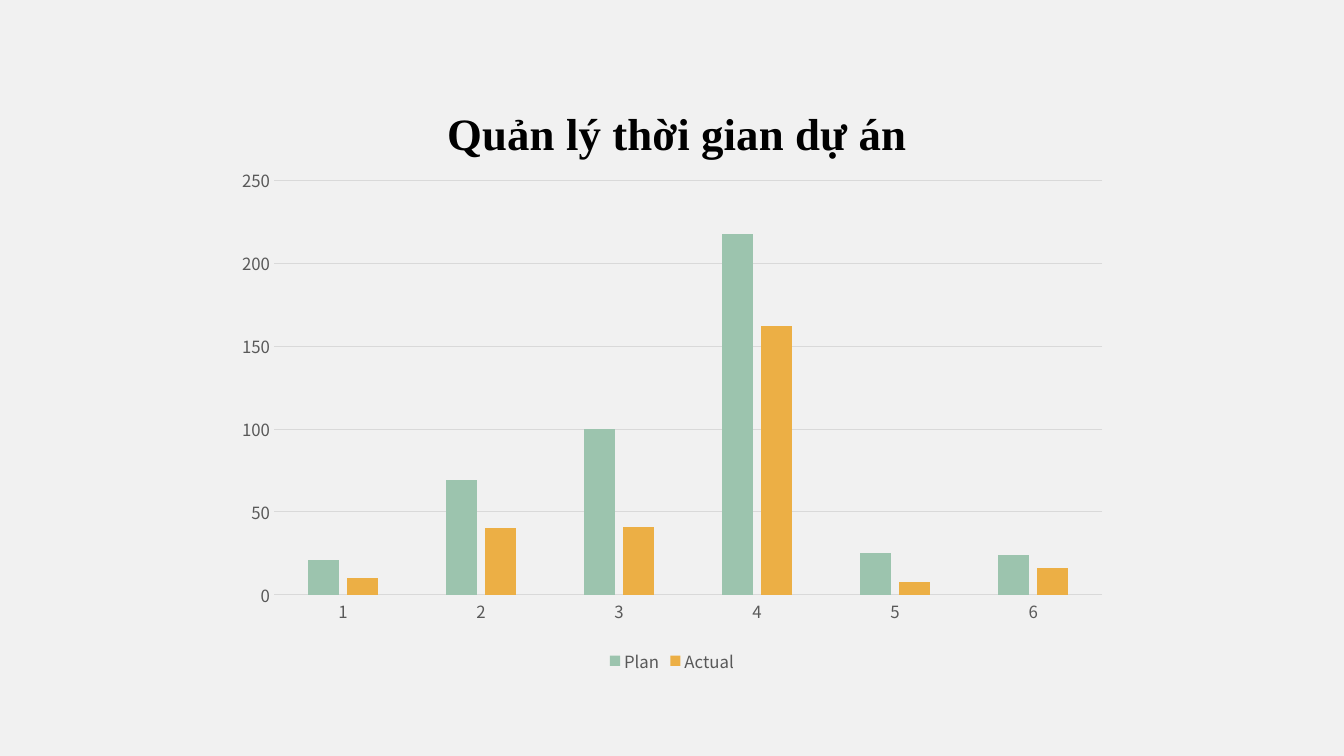
from lxml import etree
from pptx import Presentation
from pptx.chart.data import CategoryChartData
from pptx.dml.color import RGBColor
from pptx.enum.chart import XL_CHART_TYPE, XL_LEGEND_POSITION, XL_TICK_MARK
from pptx.oxml.ns import qn
from pptx.util import Inches, Pt

COLORS = {
    "background": "F1F1F1",
    "title": "000000",
    "label": "595959",
    "grid": "D9D9D9",
    "Plan": "9CC4AE",
    "Actual": "ECAF45",
}
HOURS = {
    "Plan": (21, 69, 100, 218, 25, 24),
    "Actual": (10, 40, 41, 162, 8, 16),
}
LABEL_FONT = "Noto Sans CJK KR"


def add_text(p, text, *, font, size, color, bold=False):
    r = p.add_run()
    r.text = text
    r.font.name = font
    r.font.size = Pt(size)
    r.font.bold = bold
    r.font.color.rgb = RGBColor.from_string(COLORS[color])


def set_layout(element, index, **settings):
    for old in element.findall(qn("c:layout")):
        element.remove(old)
    layout = etree.Element(qn("c:layout"))
    manual = etree.SubElement(layout, qn("c:manualLayout"))
    for tag, value in settings.items():
        etree.SubElement(manual, qn(f"c:{tag}")).set("val", str(value))
    element.insert(index, layout)


prs = Presentation()
prs.slide_width = Inches(13.33)
prs.slide_height = Inches(7.5)
s = prs.slides.add_slide(prs.slide_layouts[6])
s.background.fill.solid()
s.background.fill.fore_color.rgb = RGBColor.from_string(COLORS["background"])

data = CategoryChartData()
data.categories = ["1", "2", "3", "4", "5", "6"]
for name, values in HOURS.items():
    data.add_series(name, values)
chart = s.shapes.add_chart(
    XL_CHART_TYPE.COLUMN_CLUSTERED,
    Inches(2.22), Inches(0.79), Inches(8.89), Inches(5.93), data,
).chart
chart.font.name = LABEL_FONT
chart.font.size = Pt(10)

chart.has_title = True
title = chart.chart_title
title.include_in_layout = False
add_text(title.text_frame.paragraphs[0], "Quản lý thời gian dự án",
         font="Times New Roman", size=32, color="title", bold=True)
set_layout(title._element, 1, xMode="edge", yMode="edge", x=0.24, y=0.03)
set_layout(chart._chartSpace.chart.plotArea, 0, layoutTarget="inner",
           xMode="edge", yMode="edge", x=0.056, y=0.169, w=0.924, h=0.693)

plot = chart.plots[0]
plot.gap_width = 219
plot.overlap = -27
plot.vary_by_categories = False
for series in plot.series:
    series.format.fill.solid()
    series.format.fill.fore_color.rgb = RGBColor.from_string(COLORS[series.name])

chart.has_legend = True
chart.legend.position = XL_LEGEND_POSITION.BOTTOM
chart.legend.include_in_layout = False

category_axis, value_axis = chart.category_axis, chart.value_axis
for axis in (category_axis, value_axis):
    axis.major_tick_mark = XL_TICK_MARK.NONE
    axis.minor_tick_mark = XL_TICK_MARK.NONE
value_axis.minimum_scale = 0
value_axis.maximum_scale = 250
value_axis.major_unit = 50
value_axis.has_major_gridlines = True
value_axis.format.line.fill.background()

for font in (category_axis.tick_labels.font, value_axis.tick_labels.font, chart.legend.font):
    font.name = LABEL_FONT
    font.size = Pt(12)
    font.color.rgb = RGBColor.from_string(COLORS["label"])
for line in (category_axis.format.line, value_axis.major_gridlines.format.line):
    line.width = Pt(0.75)
    line.color.rgb = RGBColor.from_string(COLORS["grid"])

prs.save("out.pptx")
